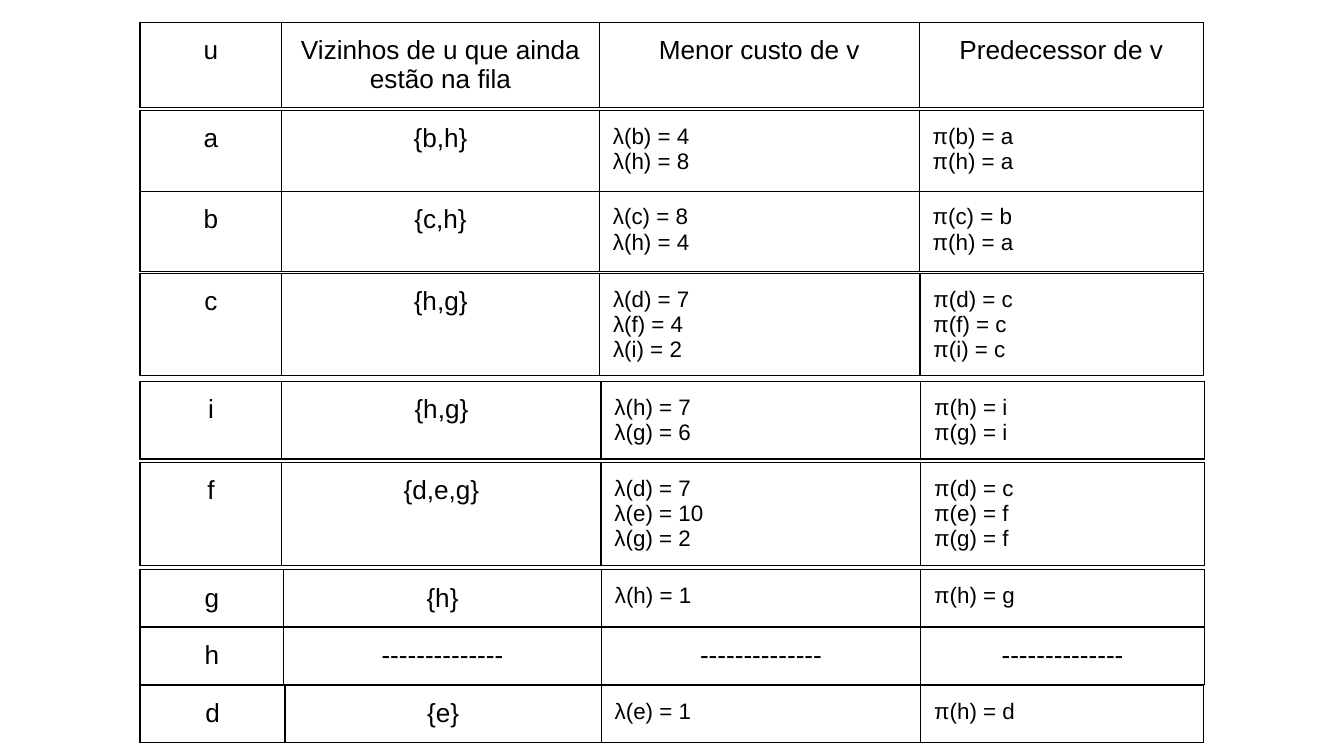
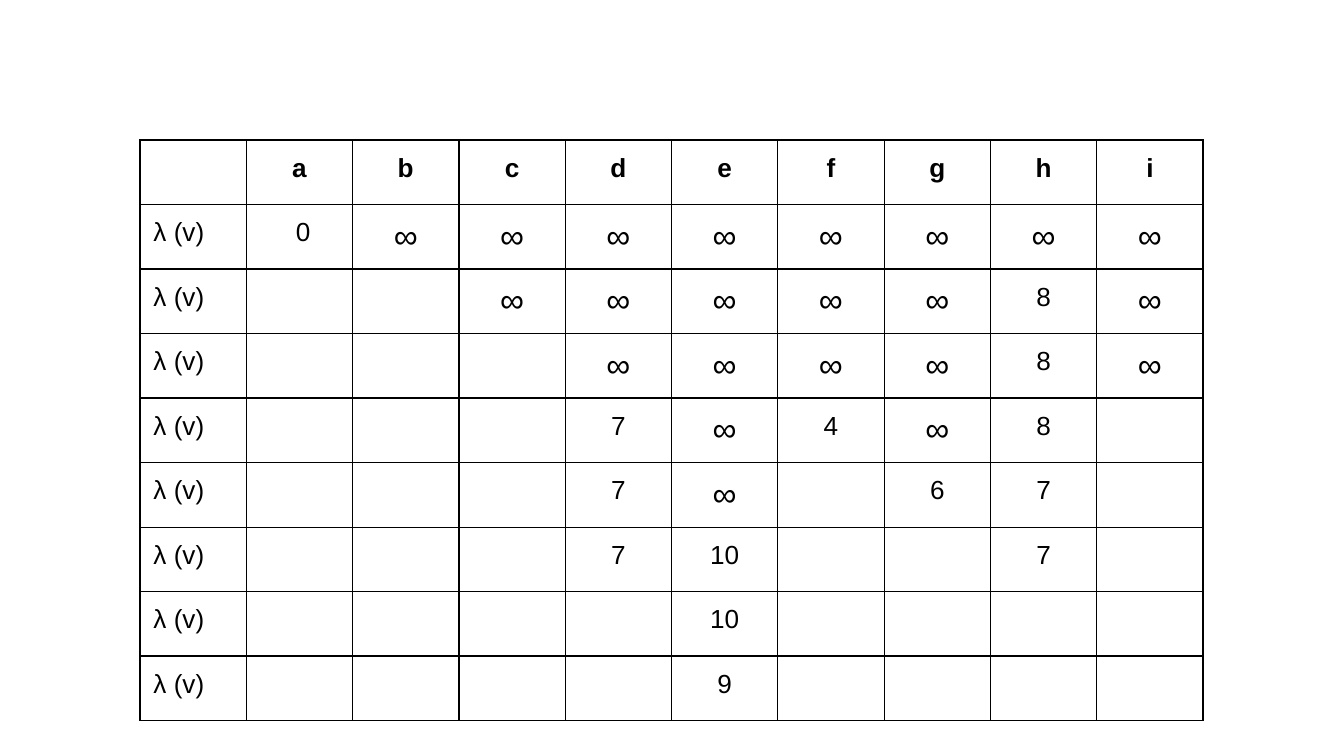
from pptx import Presentation, oxml, util as u
from pptx.dml import color
from pptx.enum import text
from pptx.oxml import ns

FONT = "Arial"
INK = "000000"
LEFT = 75
FRAME_SIDE = 236.22
INSET = 7.2
BORDER_WIDTH = 0.75
DASHES = "--------------"

WIDE = (75.9, 170.3, 171.3, 152.2)
WIDE_C = (76, 170.2, 171.7, 152)
WIDE_F = (76, 171, 171.3, 152)
WIDE_G = (77, 170.2, 171.1, 152)
WIDE_D = (77.7, 169.4, 171.2, 151.5)

STEPS = [
    (11.9, 45.7, WIDE, ("u", "Vizinhos de u que ainda estão na fila",
                        "Menor custo de v", "Predecessor de v")),
    (59.2, 43.6, WIDE, ("a", "{b,h}", "λ(b) = 4\nλ(h) = 8", "π(b) = a\nπ(h) = a")),
    (102.4, 43, WIDE, ("b", "{c,h}", "λ(c) = 8\nλ(h) = 4", "π(c) = b\nπ(h) = a")),
    (146.6, 54.6, WIDE_C, ("c", "{h,g}", "λ(d) = 7\nλ(f) = 4\nλ(i) = 2",
                           "π(d) = c\nπ(f) = c\nπ(i) = c")),
    (204.4, 41.5, WIDE_F, ("i", "{h,g}", "λ(h) = 7\nλ(g) = 6", "π(h) = i\nπ(g) = i")),
    (247.7, 55.4, WIDE_F, ("f", "{d,e,g}", "λ(d) = 7\nλ(e) = 10\nλ(g) = 2",
                           "π(d) = c\nπ(e) = f\nπ(g) = f")),
    (305.3, 30.4, WIDE_G, ("g", "{h}", "λ(h) = 1", "π(h) = g")),
    (336.2, 30.4, WIDE_G, ("h", DASHES, DASHES, DASHES)),
    (367.2, 30.4, WIDE_D, ("d", "{e}", "λ(e) = 1", "π(h) = d")),
]

COSTS = [
    "|a|b|c|d|e|f|g|h|i",
    "λ (v)| 0|∞|∞|∞|∞|∞|∞|∞|∞",
    "λ (v)|||∞|∞|∞|∞|∞|8|∞",
    "λ (v)||||∞|∞|∞|∞|8|∞",
    "λ (v)||||7|∞|4|∞|8|",
    "λ (v)||||7|∞||6|7|",
    "λ (v)||||7|10|||7|",
    "λ (v)|||||10||||",
    "λ (v)|||||9||||",
]


def rgb(value):
    return color.RGBColor.from_string(value)


def write_text(cell, content, size=14, bold=False, centred=True):
    cell.text = content
    for paragraph in cell.text_frame.paragraphs:
        paragraph.alignment = text.PP_ALIGN.CENTER if centred else text.PP_ALIGN.LEFT
        for run in paragraph.runs:
            run.font.name = FONT
            run.font.size = u.Pt(size)
            run.font.bold = bold
            run.font.color.rgb = rgb(INK)
        if not paragraph.runs:
            paragraph._p.append(oxml.parse_xml(
                f'<a:endParaRPr {ns.nsdecls("a")} sz="{size * 100}">'
                f'<a:latin typeface="{FONT}"/></a:endParaRPr>'))


def style_cell(cell):
    cell.margin_left = cell.margin_right = u.Pt(INSET)
    cell.margin_top = cell.margin_bottom = u.Pt(INSET)
    cell.vertical_anchor = text.MSO_ANCHOR.TOP
    properties = cell._tc.get_or_add_tcPr()
    for side in ("lnL", "lnR", "lnT", "lnB"):
        properties.append(oxml.parse_xml(
            f'<a:{side} {ns.nsdecls("a")} w="{u.Pt(BORDER_WIDTH)}">'
            f'<a:solidFill><a:srgbClr val="{INK}"/></a:solidFill></a:{side}>'))
    cell.fill.background()


def add_grid(slide, top, widths, row_height, row_count):
    frame = slide.shapes.add_table(
        row_count, len(widths), u.Pt(LEFT), u.Pt(top),
        u.Pt(FRAME_SIDE), u.Pt(FRAME_SIDE))
    table = frame.table
    table.first_row = table.horz_banding = False
    for column, width in zip(table.columns, widths):
        column.width = u.Pt(width)
    for row in table.rows:
        row.height = u.Pt(row_height)
    frame.width = frame.height = u.Pt(FRAME_SIDE)
    for cell in table.iter_cells():
        style_cell(cell)
    return table


def add_steps(slide):
    for top, height, widths, contents in STEPS:
        table = add_grid(slide, top, widths, height, 1)
        for cell, content in zip(table.iter_cells(), contents):
            is_formula = "=" in content
            write_text(cell, content, size=12 if is_formula else 14,
                       centred=not is_formula)


def add_costs(slide):
    table = add_grid(slide, 75, [56.97] * 10, 34.5, len(COSTS))
    for row_index, line in enumerate(COSTS):
        for column_index, content in enumerate(line.split("|")):
            write_text(table.cell(row_index, column_index), content,
                       size=18 if content == "∞" else 14,
                       bold=row_index == 0, centred=column_index > 0)


def main():
    presentation = Presentation()
    presentation.slide_width = u.Pt(720)
    presentation.slide_height = u.Pt(405)
    for add_content in (add_steps, add_costs):
        slide = presentation.slides.add_slide(presentation.slide_layouts[6])
        add_content(slide)
    presentation.save("out.pptx")


if __name__ == "__main__":
    main()
